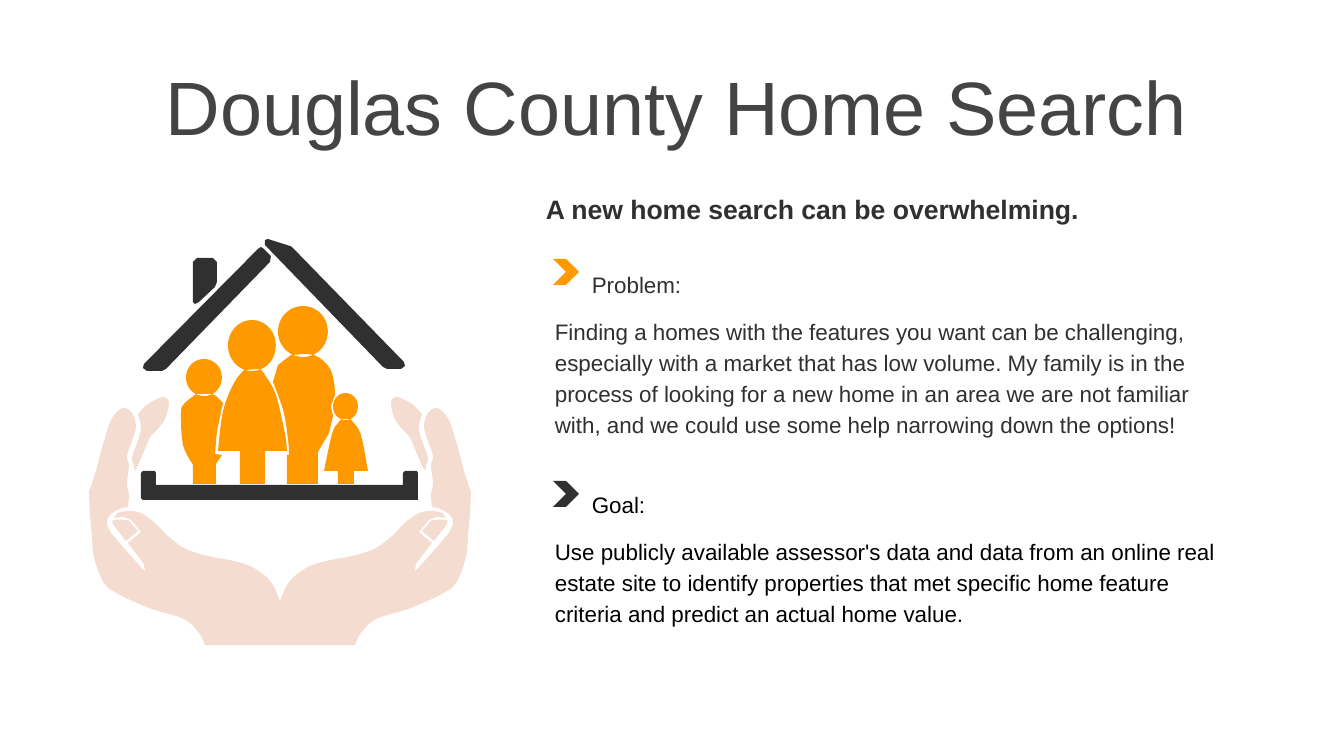
from math import cos, pi, sin

from pptx import Presentation
from pptx.dml.color import RGBColor
from pptx.enum.shapes import MSO_SHAPE
from pptx.enum.text import MSO_ANCHOR, PP_ALIGN
from pptx.util import Pt

PX = 914400 / 100.8
TOP, MIDDLE = MSO_ANCHOR.TOP, MSO_ANCHOR.MIDDLE
LEFT, CENTER = PP_ALIGN.LEFT, PP_ALIGN.CENTER
CHEVRON = MSO_SHAPE.CHEVRON

THEME = {
    "font": "Arial",
    "title": "444444", "dark": "303030", "black": "000000",
    "orange": "FE9900", "skin": "F4DDD0",
    "title_size": 54, "lead_size": 19, "body_size": 16,
}

prs = Presentation()
prs.slide_width, prs.slide_height = round(1344 * PX), round(756 * PX)
s = prs.slides.add_slide(prs.slide_layouts[6])


def add_text(box, paragraphs, size="body_size", color="dark", bold=False,
             align=LEFT, anchor=TOP, spacing=1.0, before=0, first_indent=0):
    tf = s.shapes.add_textbox(*(round(v * PX) for v in box)).text_frame
    tf.word_wrap = True
    tf.vertical_anchor = anchor
    for i, text in enumerate(paragraphs):
        p = tf.paragraphs[0] if i == 0 else tf.add_paragraph()
        p.alignment, p.line_spacing = align, spacing
        if i:
            p.space_before = Pt(before)
        elif first_indent:
            p._p.get_or_add_pPr().set("marL", str(round(first_indent * PX)))
        r = p.add_run()
        r.text = text
        r.font.name, r.font.size, r.font.bold = THEME["font"], Pt(THEME[size]), bold
        r.font.color.rgb = RGBColor.from_string(THEME[color])


def add_outline(group, color, contours):
    builder = None
    for runs in contours:
        points = []
        for run in runs:
            ends = [run[0], *run, run[-1]]
            for a, b, c, d in zip(ends, ends[1:], ends[2:], ends[3:]):
                for t in (0, 0.25, 0.5, 0.75):
                    points.append(tuple(
                        round((b[k] + (c[k] - a[k]) * t / 2
                               + (2 * a[k] - 5 * b[k] + 4 * c[k] - d[k]) * t * t / 2
                               + (3 * b[k] - a[k] - 3 * c[k] + d[k]) * t ** 3 / 2) * PX)
                        for k in (0, 1)))
            points.append(tuple(round(v * PX) for v in run[-1]))
        if builder is None:
            builder = group.shapes.build_freeform(*points[0])
        else:
            builder.move_to(*points[0])
        builder.add_line_segments(points[1:], close=True)
    sp = builder.convert_to_shape()
    sp.shadow.inherit = False
    sp.fill.solid()
    sp.fill.fore_color.rgb = RGBColor.from_string(THEME[color])
    sp.line.fill.background()


add_text((38, 71, 1276, 80), ["Douglas County Home Search"], size="title_size",
         color="title", align=CENTER, anchor=MIDDLE, spacing=0.9)
add_text((536, 188, 741, 42), ["A new home search can be overwhelming."],
         size="lead_size", bold=True)

sections = [
    (262, 259, "orange", "dark", "Problem:",
     "Finding a homes with the features you want can be challenging, especially with "
     "a market that has low volume. My family is in the process of looking for a new "
     "home in an area we are not familiar with, and we could use some help narrowing "
     "down the options!"),
    (482, 481, "dark", "black", "Goal:",
     "Use publicly available assessor's data and data from an online real estate site "
     "to identify properties that met specific home feature criteria and predict an "
     "actual home value."),
]
for top, marker_top, marker, color, heading, body in sections:
    add_text((545, top, 701, 180), [heading, body], color=color,
             spacing=1.15, before=12, first_indent=37)
    sp = s.shapes.add_shape(CHEVRON, *(round(v * PX) for v in (553, marker_top, 26, 26)))
    sp.shadow.inherit = False
    sp.fill.solid()
    sp.fill.fore_color.rgb = RGBColor.from_string(THEME[marker])
    sp.line.fill.background()

art = s.shapes.add_group_shape()

family = {
    "daughter": ((345.5, 406.5, 12.5, 13.5), [
        [(350, 419), (353, 422), (361, 435), (368, 471)],
        [(354, 471)], [(354, 484)], [(338, 484)], [(338, 471)],
        [(324, 471), (332, 434), (338, 423), (342, 419)]]),
    "son": ((204, 377.5, 18, 18.5), [
        [(212, 394), (216, 396), (223, 403)], [(217, 431), (215, 454)],
        [(222, 455)], [(216, 464)], [(216, 484)], [(193, 484)],
        [(193, 465), (183, 445), (181, 413), (184, 404), (196, 394)]]),
    "mother": ((252, 345.5, 24, 25.5), [
        [(260, 369), (265, 375), (276, 395), (285, 434), (287, 451)],
        [(265, 451)], [(265, 484)], [(240, 484)], [(240, 451)],
        [(218, 451), (223, 411), (234, 383), (244, 370)]]),
    "father": ((303, 331.5, 25, 25.5), [
        [(291, 355), (314, 355), (329, 367), (334, 382), (335, 395)],
        [(331, 406), (333, 416)], [(329, 433), (318, 452)],
        [(318, 484)], [(287, 484)], [(287, 455)], [(289, 455)],
        [(289, 448), (284, 413), (273, 382)], [(278, 365), (291, 355)]]),
}
figures = []
for (x, y, rx, ry), body in family.values():
    head = [(x + rx * cos(i * pi / 8), y + ry * sin(i * pi / 8)) for i in range(17)]
    figures += [[head], body]
add_outline(art, "orange", figures)

house = {
    "floor": [(143, 471), (155, 471), (156, 473), (156, 485), (403, 485), (403, 473),
              (405, 471), (417, 471), (418, 473), (418, 500), (143, 500), (141, 498),
              (141, 473)],
    "chimney": [(197, 258), (213, 258), (217, 262), (217, 282), (215, 287), (199, 302),
                (195, 304), (193, 302), (193, 262)],
    "left roof": [(261, 247), (264, 249), (271, 256), (270, 262), (166, 369), (162, 371),
                  (147, 371), (143, 368), (144, 364), (258, 249)],
    "right roof": [(268, 239), (290, 246), (292, 247), (404, 362), (405, 366), (401, 369),
                   (387, 369), (383, 367), (265, 245), (265, 240)],
}
add_outline(art, "dark", [[[corner] for corner in corners] for corners in house.values()])

palm = [
    [(89, 492), (96, 471), (99, 459), (109, 425), (116, 413), (124, 408), (132, 413),
     (136, 426), (132, 441), (127, 456), (129, 466), (127, 483), (129, 495), (128, 507)],
    [(122, 508), (111, 514), (107, 522), (110, 531), (117, 540), (140, 566), (145, 571)],
    [(144, 564), (128, 543)], [(141, 532)],
    [(131, 520), (123, 517), (114, 518)],
    [(114, 518), (120, 512), (138, 512), (154, 522), (169, 537), (186, 549), (208, 556),
     (234, 561), (254, 568), (271, 582), (280, 601)],
    [(280, 619), (276, 643), (274, 645)],
    [(205, 645), (199, 633), (184, 619), (152, 609), (120, 595), (104, 583), (94, 557),
     (92, 535), (90, 514), (89, 492)]]
finger = [
    [(138, 414), (148, 404), (163, 397), (169, 403), (164, 421), (151, 436)],
    [(150, 437), (139, 463), (135, 471)],
    [(132, 459), (133, 454), (141, 430), (138, 414)]]
thumbnail = [
    [(138, 531)], [(126, 541)],
    [(126, 541), (119, 532), (113, 524), (114, 520), (126, 520), (129, 521)]]
wrist_gap = [[(219, 645)], [(274, 645), (276, 643), (280, 619)],
             [(284, 643), (286, 645)], [(341, 645)]]

palms, *details = [
    [part, [[(560 - x, y) for x, y in run] for run in part]]
    for part in (palm, finger, thumbnail)]
add_outline(art, "skin", palms)
for pair in details:
    for part in pair:
        add_outline(art, "skin", [part])
add_outline(art, "skin", [wrist_gap])

prs.save("out.pptx")
